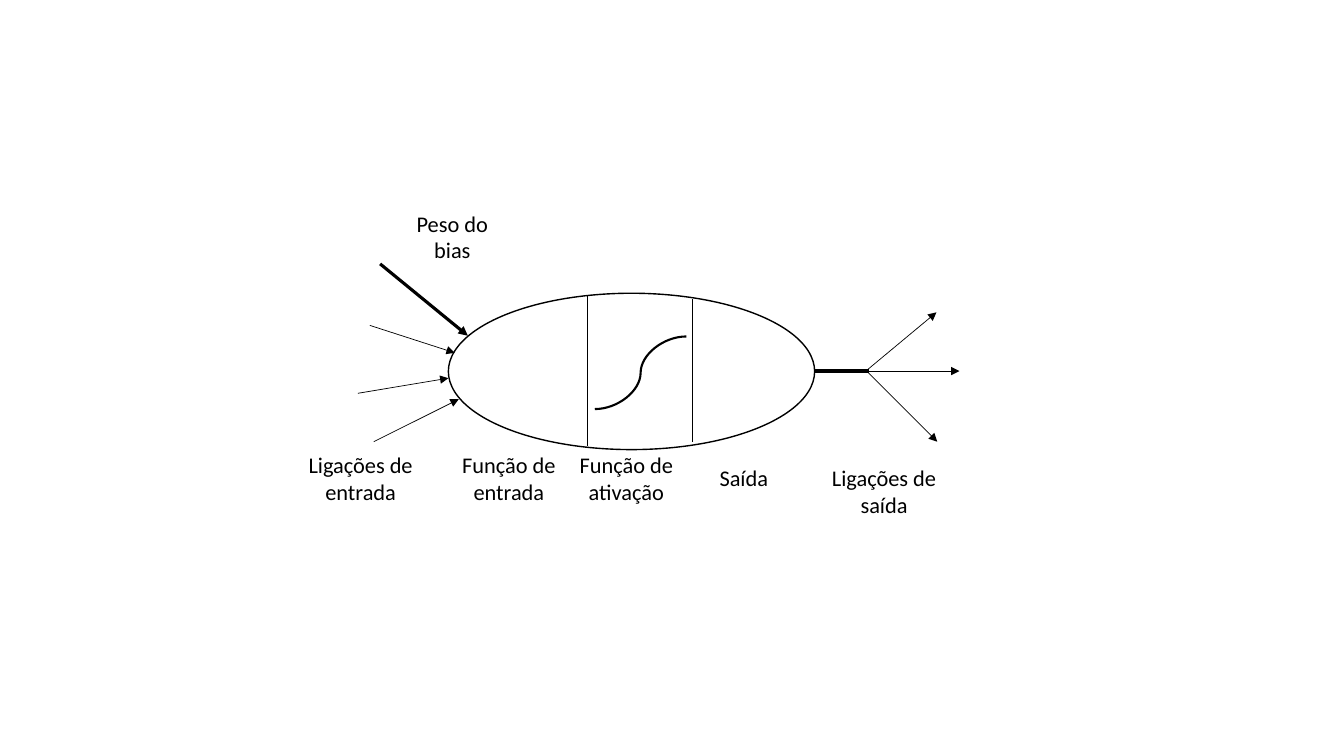
import dataclasses

import pptx
import pptx.dml.color
import pptx.enum.dml
import pptx.enum.shapes
import pptx.enum.text
import pptx.oxml
import pptx.oxml.ns
import pptx.util

Cm = pptx.util.Cm
Pt = pptx.util.Pt
BLACK = pptx.dml.color.RGBColor(0x00, 0x00, 0x00)
WHITE = pptx.dml.color.RGBColor(0xFF, 0xFF, 0xFF)
STRAIGHT = pptx.enum.shapes.MSO_CONNECTOR.STRAIGHT
CURVE = pptx.enum.shapes.MSO_CONNECTOR.CURVE
LABEL_FORMAT = {"name": "Calibri", "size": Pt(16)}
CELL_LEFT, CELL_STEP = 11.35, 2.96
LABEL_TOP, LOW_LABEL_TOP = 11.25, 11.58
AXIS_Y = 9.35


@dataclasses.dataclass(frozen=True)
class Link:
    """A line between two points, in centimetres; weight in points."""
    start: tuple[float, float]
    end: tuple[float, float]
    weight: float = 0.5
    arrow: bool = True
    kind: int = STRAIGHT


@dataclasses.dataclass(frozen=True)
class Label:
    text: str
    left: float
    top: float
    width: float = 2.95
    height: float = 1.62


LINKS = [
    # Dividers and activation curve inside the neuron
    Link((17.45, 7.54), (17.45, 11.15), 1, False),
    Link((14.81, 7.44), (14.81, 11.25), 1, False),
    Link((14.99, 10.31), (17.3, 8.48), 1.5, False, CURVE),
    # Bias and inputs
    Link((9.58, 6.65), (11.79, 8.46), 2.25),
    Link((9.32, 8.2), (11.46, 8.89)),
    Link((9.02, 9.91), (11.3, 9.53)),
    Link((9.42, 11.13), (11.56, 10.06)),
    # Output trunk and branches
    Link((20.53, AXIS_Y), (21.89, AXIS_Y), 2.25, False),
    Link((21.82, AXIS_Y), (23.6, 7.87)),
    Link((21.89, AXIS_Y), (24.18, AXIS_Y)),
    Link((21.84, AXIS_Y), (23.62, 11.13)),
]

LABELS = [
    Label("Função de entrada", CELL_LEFT, LABEL_TOP),
    Label("Função de ativação", CELL_LEFT + CELL_STEP, LABEL_TOP),
    Label("Saída", CELL_LEFT + 2 * CELL_STEP, LOW_LABEL_TOP, height=0.94),
    Label("Ligações de entrada", 7.49, LABEL_TOP, 3.2),
    Label("Peso do bias", 9.8, 5.16, 3.2),
    Label("Ligações de saída", 20.68, LOW_LABEL_TOP, 3.2),
]


def draw_neuron(slide) -> None:
    neuron = slide.shapes.add_shape(
        pptx.enum.shapes.MSO_SHAPE.OVAL, Cm(11.3), Cm(7.39), Cm(9.23), Cm(3.94))
    neuron.shadow.inherit = False
    neuron.fill.solid()
    neuron.fill.fore_color.rgb = WHITE
    neuron.line.color.rgb = BLACK
    neuron.line.width = Pt(1)


def draw_link(slide, link: Link) -> None:
    connector = slide.shapes.add_connector(
        link.kind, *(Cm(value) for value in link.start + link.end))
    connector.line.color.rgb = BLACK
    connector.line.width = Pt(link.weight)
    if link.arrow:
        head = pptx.oxml.parse_xml(
            f'<a:tailEnd {pptx.oxml.ns.nsdecls("a")} type="triangle"/>')
        connector.line._get_or_add_ln().append(head)
    connector._element.spPr.append(pptx.oxml.parse_xml(
        f'<a:effectLst {pptx.oxml.ns.nsdecls("a")}/>'))


def draw_label(slide, label: Label) -> None:
    box = slide.shapes.add_textbox(
        Cm(label.left), Cm(label.top), Cm(label.width), Cm(label.height))
    frame = box.text_frame
    frame.word_wrap = True
    frame.auto_size = pptx.enum.text.MSO_AUTO_SIZE.SHAPE_TO_FIT_TEXT
    caption = frame.paragraphs[0]
    caption.alignment = pptx.enum.text.PP_ALIGN.CENTER
    run = caption.add_run()
    run.text = label.text
    for attribute, value in LABEL_FORMAT.items():
        setattr(run.font, attribute, value)
    run.font.color.rgb = BLACK


def main() -> None:
    presentation = pptx.Presentation()
    presentation.slide_width = Cm(33.87)
    presentation.slide_height = Cm(19.05)
    slide = presentation.slides.add_slide(presentation.slide_layouts[6])
    draw_neuron(slide)
    for link in LINKS:
        draw_link(slide, link)
    for label in LABELS:
        draw_label(slide, label)
    presentation.save("out.pptx")


if __name__ == "__main__":
    main()
